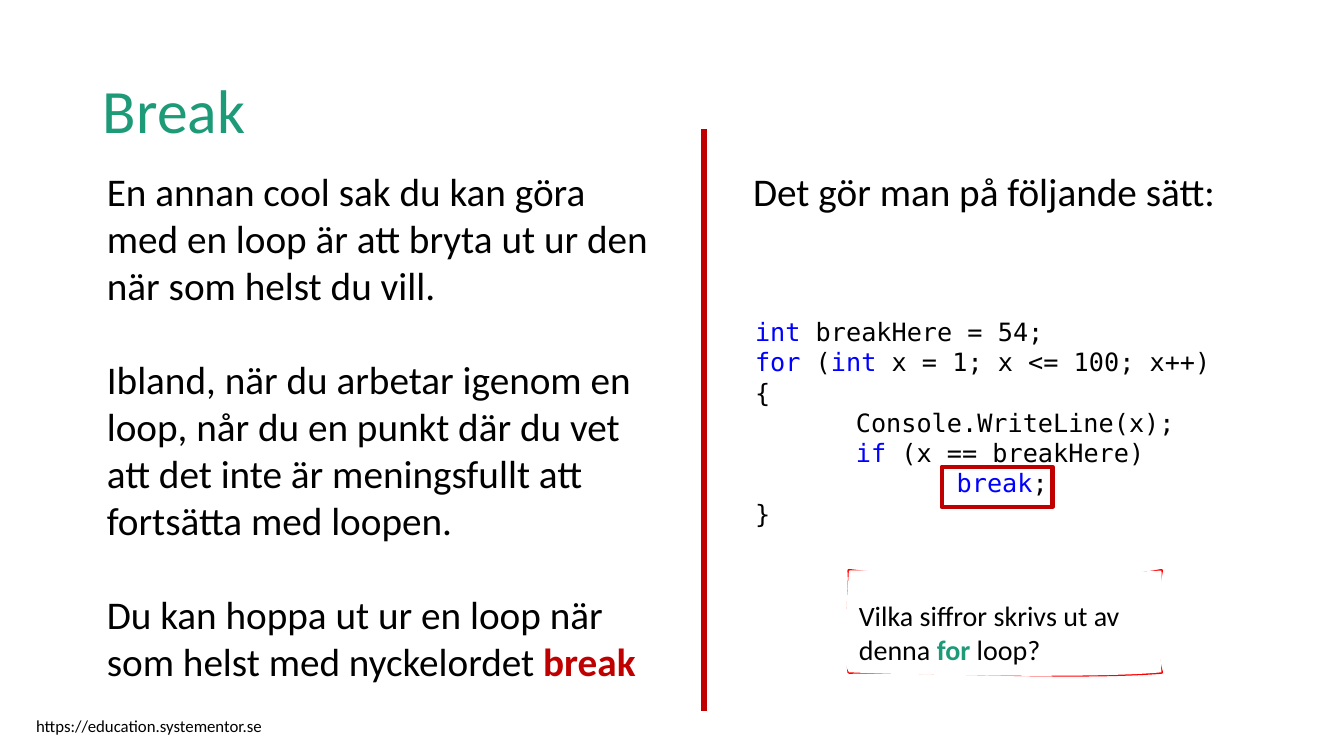
from lxml.etree import SubElement
from pptx import Presentation
from pptx.dml.color import RGBColor
from pptx.enum.shapes import MSO_CONNECTOR as Connector, MSO_SHAPE as Shape
from pptx.enum.text import MSO_ANCHOR as Anchor, MSO_AUTO_SIZE as AutoSize, PP_ALIGN as Align
from pptx.oxml.ns import qn
from pptx.util import Inches, Pt

GREEN = RGBColor(0x1D, 0x9A, 0x78)
BLACK = RGBColor(0x00, 0x00, 0x00)
CRIMSON = RGBColor(0xC0, 0x00, 0x00)
RED = RGBColor(0xFF, 0x00, 0x00)
BLUE = RGBColor(0x00, 0x00, 0xFF)
WHITE = RGBColor(0xFF, 0xFF, 0xFF)

BODY = [
    "En annan cool sak du kan göra med en loop är att bryta ut ur den när som helst du vill.",
    "Ibland, när du arbetar igenom en loop, når du en punkt där du vet "
    "att det inte är meningsfullt att fortsätta med loopen.",
    ["Du kan hoppa ut ur en loop när som helst med nyckelordet ", ("break", CRIMSON, True)],
]
CODE = [
    [("int ", BLUE, False), "breakHere = 54;"],
    [("for", BLUE, False), " (", ("int", BLUE, False), " x = 1; x <= 100; x++)"],
    "{",
    "\tConsole.WriteLine(x);",
    [("\tif", BLUE, False), " (x == breakHere)"],
    [("\t\tbreak", BLUE, False), ";"],
    "}",
]
QUESTION = [["Vilka siffror skrivs ut av denna ", ("for", GREEN, True), " loop?"]]

NOTE_CORNERS = [(8.42, 5.66), (11.52, 5.66), (11.52, 6.67), (8.42, 6.67)]
NOTE_BORDER = [
    ((9.31, 5.77), (11.01, 5.77)),
    ((11.44, 6.06), (11.45, 6.44)),
    ((10.6, 6.74), (9.21, 6.65)),
    ((8.38, 6.25), (8.44, 5.8)),
]
NOTE_PAPER = [
    ((9.29, 5.65), (10.94, 5.7)),
    ((11.53, 5.83), (11.49, 6.31)),
    ((10.95, 6.73), (9.07, 6.7)),
    ((8.34, 6.54), (8.39, 6.15)),
]


def write_text(frame, paragraphs, size=28, font="Calibri", color=BLACK, gap=0, tabs=(),
               insets=(0.1, 0.05, 0.1, 0.05), anchor=Anchor.TOP, line_spacing=None):
    """Fill a text frame with paragraphs of plain or (text, colour, bold) spans."""
    frame.word_wrap = True
    frame.auto_size = AutoSize.NONE
    frame.vertical_anchor = anchor
    frame.margin_left, frame.margin_top, frame.margin_right, frame.margin_bottom = map(Inches, insets)
    for index, spans in enumerate(paragraphs):
        para = frame.add_paragraph() if index else frame.paragraphs[0]
        para.alignment = Align.LEFT
        para.space_before = Pt(gap if index else 0)
        if line_spacing:
            para.line_spacing = line_spacing
        if tabs:
            stops = SubElement(para._p.get_or_add_pPr(), qn("a:tabLst"))
            for stop in tabs:
                SubElement(stops, qn("a:tab"), pos=str(Inches(stop)), algn="l")
        for span in [spans] if isinstance(spans, str) else spans:
            text, tint, bold = (span, color, False) if isinstance(span, str) else span
            run = para.add_run()
            run.text = text
            run.font.name = font
            run.font.size = Pt(size)
            run.font.bold = bold
            run.font.color.rgb = tint


def add_point(parent, point, origin):
    """Add a point, measured from the origin, to a path step."""
    x, y = (str(Inches(value - start)) for value, start in zip(point, origin))
    SubElement(parent, qn("a:pt"), x=x, y=y)


def add_curved_path(outlines, size, corners, handles, **flags):
    """Add a closed path whose sides are cubic curves between the corners."""
    origin = corners[0]
    path = SubElement(outlines, qn("a:path"), **size, **flags)
    add_point(SubElement(path, qn("a:moveTo")), origin, origin)
    for pair, end in zip(handles, corners[1:] + corners[:1]):
        curve = SubElement(path, qn("a:cubicBezTo"))
        for point in (*pair, end):
            add_point(curve, point, origin)
    SubElement(path, qn("a:close"))


class SlideWriter:
    """Draws the elements of one slide in a shared style."""

    def __init__(self, deck):
        self.page = deck.slides.add_slide(deck.slide_layouts[5])
        self.shapes = self.page.shapes

    def title(self, text, left, top, width, height):
        box = self.shapes.title
        box.left, box.top, box.width, box.height = map(Inches, (left, top, width, height))
        write_text(box.text_frame, [text], size=44, color=GREEN,
                   anchor=Anchor.MIDDLE, line_spacing=0.9)

    def text(self, paragraphs, left, top, width, height, **style):
        box = self.shapes.add_textbox(*map(Inches, (left, top, width, height)))
        write_text(box.text_frame, paragraphs, **style)

    def divider(self, x, top, bottom):
        line = self.shapes.add_connector(Connector.STRAIGHT, *map(Inches, (x, top, x, bottom)))
        line.line.color.rgb = CRIMSON
        line.line.width = Pt(4.5)
        SubElement(line._element.spPr, qn("a:effectLst"))

    def paint(self, shape, line, width, fill=None):
        shape.shadow.inherit = False
        if fill is None:
            shape.fill.background()
        else:
            shape.fill.solid()
            shape.fill.fore_color.rgb = fill
        shape.line.color.rgb = line
        shape.line.width = Pt(width)

    def frame(self, left, top, width, height):
        box = self.shapes.add_shape(Shape.RECTANGLE, *map(Inches, (left, top, width, height)))
        self.paint(box, CRIMSON, 3)

    def note(self, paragraphs, corners, border, paper, **style):
        start, *others = [tuple(map(Inches, corner)) for corner in corners]
        builder = self.shapes.build_freeform(*start, scale=1.0)
        builder.add_line_segments(others, close=True)
        sheet = builder.convert_to_shape()
        outlines = sheet._element.spPr.find(".//" + qn("a:pathLst"))
        outlines.clear()
        size = {"w": str(sheet.width), "h": str(sheet.height)}
        add_curved_path(outlines, size, corners, border, fill="none")
        add_curved_path(outlines, size, corners, paper, stroke="0")
        self.paint(sheet, RED, 2.25, fill=WHITE)
        write_text(sheet.text_frame, paragraphs, **style)


def main():
    """Build the slide and save it."""
    deck = Presentation()
    deck.slide_width, deck.slide_height = Inches(13.33), Inches(7.5)
    slide = SlideWriter(deck)
    roomy = (0.13, 0.07, 0.13, 0.07)
    slide.title("Break", 0.92, 0.4, 11.5, 1.45)
    slide.text(["https://education.systementor.se"], 0.26, 7.05, 3.9, 0.3, size=12)
    slide.text(BODY, 0.93, 1.59, 5.69, 5.25, gap=33.5, insets=roomy)
    slide.text(CODE, 7.39, 3.09, 5.75, 2.22, size=18, font="DejaVu Sans Mono", tabs=(1, 2))
    slide.text(["Det gör man på följande sätt:"], 7.34, 1.59, 5.43, 0.78, insets=roomy)
    slide.divider(6.98, 1.28, 7.05)
    slide.note(QUESTION, NOTE_CORNERS, NOTE_BORDER, NOTE_PAPER,
               size=20, insets=(0.1, 0.28, 0.1, 0.05))
    slide.frame(9.34, 4.63, 1.1, 0.4)
    deck.save("out.pptx")


if __name__ == "__main__":
    main()
